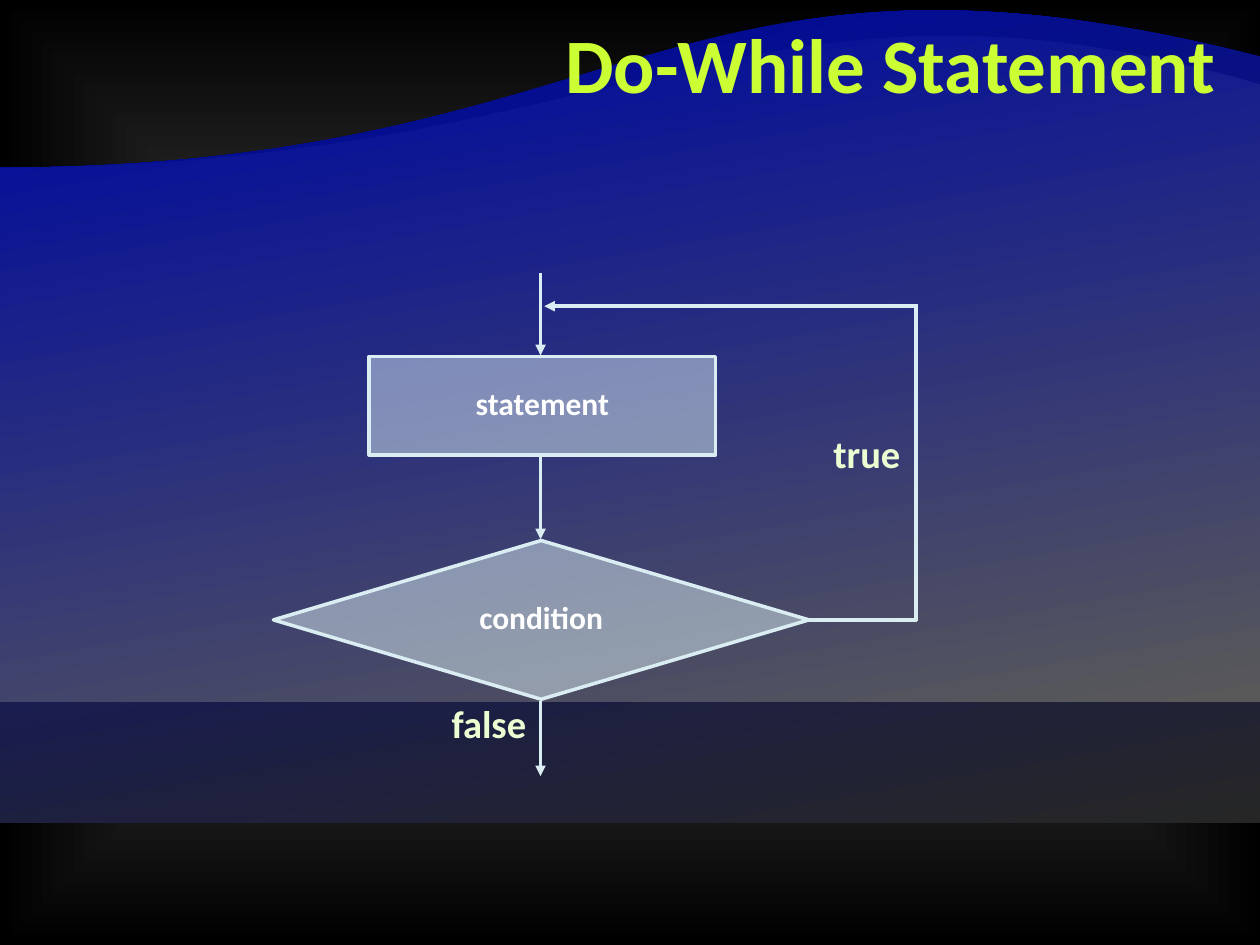
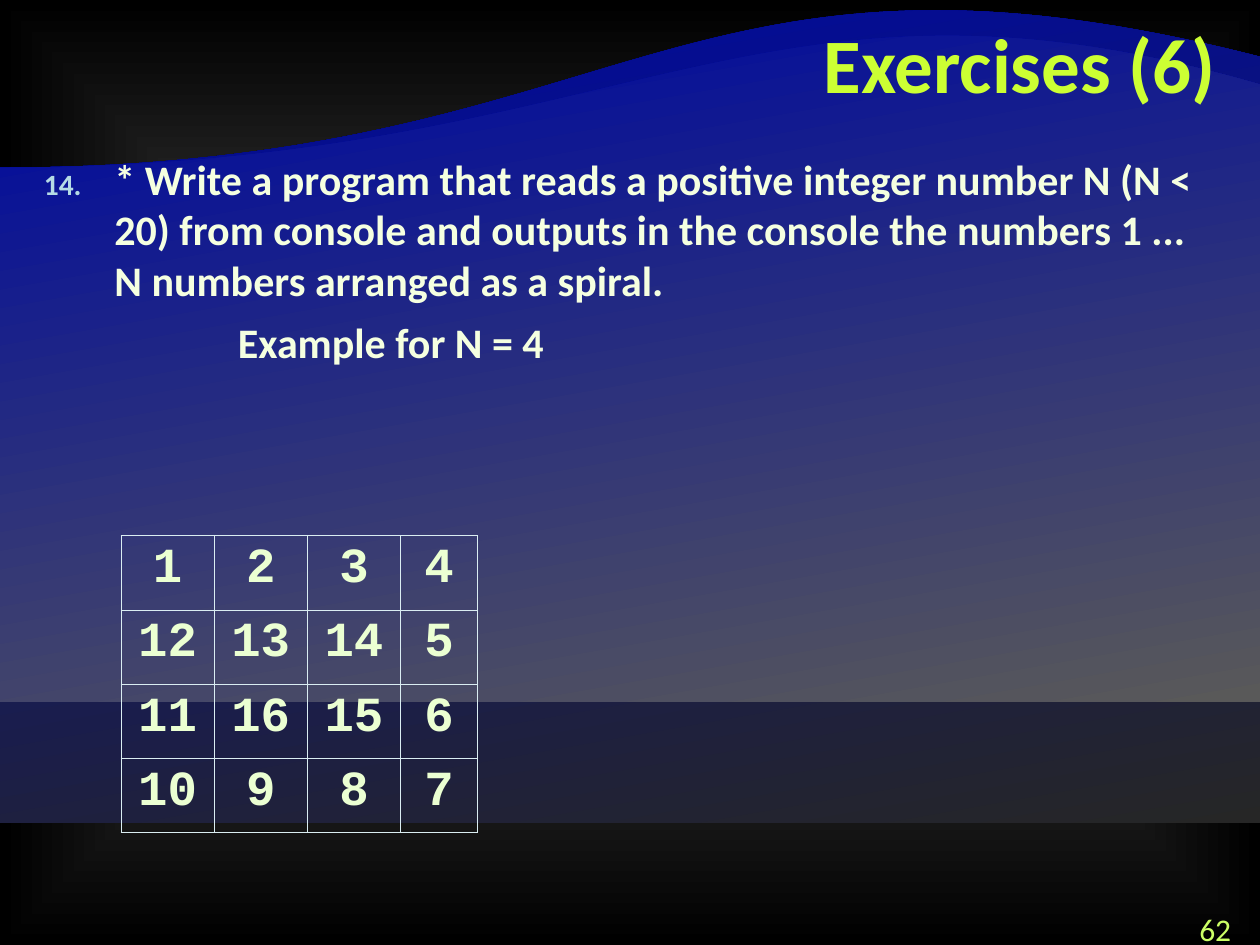
from dataclasses import dataclass

from lxml import etree
from pptx import Presentation
from pptx.dml.color import RGBColor
from pptx.enum.shapes import MSO_CONNECTOR, MSO_SHAPE
from pptx.enum.text import MSO_ANCHOR, PP_ALIGN
from pptx.oxml.ns import qn
from pptx.util import Inches, Pt

STRAIGHT = MSO_CONNECTOR.STRAIGHT
RECT, DECISION = MSO_SHAPE.RECTANGLE, MSO_SHAPE.FLOWCHART_DECISION
LEFT, CENTER, RIGHT = PP_ALIGN.LEFT, PP_ALIGN.CENTER, PP_ALIGN.RIGHT
TOP, MIDDLE = MSO_ANCHOR.TOP, MSO_ANCHOR.MIDDLE


@dataclass(frozen=True)
class Theme:
    font: str = "Calibri"
    code_font: str = "Courier New"
    glow: str = "595959"
    black: str = "000000"
    blue: str = "000A9E"
    shade: str = "262626"
    title: str = "CCFF33"
    number: str = "CCFF66"
    body: str = "F5FFE0"
    label: str = "EBFFD2"
    bullet: str = "B5DBE5"
    ice: str = "DAEDF2"
    white: str = "FFFFFF"
    title_size: int = 44
    cell_size: int = 28
    body_size: int = 24
    label_size: int = 22
    small_size: int = 18
    flow_line: float = 2
    outer_border: float = 0.5
    inner_border: float = 0.23


T = Theme()


def rgb(code):
    return RGBColor.from_string(code)


def sub(parent, tag, **attrs):
    return etree.SubElement(parent, qn(tag), {k: str(v) for k, v in attrs.items()})


def set_gradient(fill, first, last):
    fill.gradient()
    for stop, code in zip(fill.gradient_stops, (first, last)):
        stop.color.rgb = rgb(code)


def style(p, size, color, bold=True, font=T.font, align=LEFT, spacing=None):
    p.alignment = align
    if spacing:
        p.line_spacing = spacing
    for r in p.runs:
        r.font.name, r.font.size, r.font.bold = font, Pt(size), bold
        r.font.color.rgb = rgb(color)


def add_text(s, box, text, size, color, **options):
    tf = s.shapes.add_textbox(*map(Inches, box)).text_frame
    tf.word_wrap = True
    tf.vertical_anchor = TOP
    tf.text = text
    style(tf.paragraphs[0], size, color, **options)
    return tf


# Shared background, waves and title
def set_background(master):
    set_gradient(master.background.fill, T.glow, T.black)
    grad = master.element.find(".//" + qn("a:gradFill"))
    grad.remove(grad.find(qn("a:lin")))
    center = sub(grad, "a:path", path="rect")
    sub(center, "a:fillToRect", l=50000, t=50000, r=50000, b=50000)


def add_wave(s, right_top, bottom, control, end_color):
    """Band whose top edge swings from the left side up to right_top."""
    width, left_top = 10, 1.33
    corners = [(0, bottom), (0, left_top), (width, right_top)]
    builder = s.shapes.build_freeform(Inches(width), Inches(bottom))
    builder.add_line_segments([(Inches(x), Inches(y)) for x, y in corners])
    wave = builder.convert_to_shape()
    wave.shadow.inherit = False
    set_gradient(wave.fill, T.blue, end_color)
    wave.fill.gradient_angle = 280
    wave.line.fill.background()

    # Bend the top edge
    edge = wave._element.findall(".//" + qn("a:lnTo"))[2]
    curve = etree.Element(qn("a:cubicBezTo"))
    for x, y in ((5, left_top), control, (width, right_top)):
        sub(curve, "a:pt", x=Inches(x), y=Inches(y - right_top))
    edge.getparent().replace(edge, curve)


def add_base_slide(prs, title):
    s = prs.slides.add_slide(prs.slide_layouts[6])
    add_wave(s, 0.45, 6.53, (5.34, -0.74), T.shade)
    add_wave(s, 0.67, 5.57, (5.98, -0.49), T.glow)
    add_text(s, (2, 0.08, 7.75, 1), title, T.title_size, T.title, align=RIGHT)
    return s


# Flowchart
def add_node(s, kind, box, text):
    sp = s.shapes.add_shape(kind, *map(Inches, box))
    sp.shadow.inherit = False
    sp.fill.solid()
    sp.fill.fore_color.rgb = rgb(T.ice)
    color = sp._element.spPr.find(qn("a:solidFill")).find(qn("a:srgbClr"))
    sub(color, "a:alpha", val=50000)
    sp.line.color.rgb = rgb(T.ice)
    sp.line.width = Pt(T.flow_line)
    tf = sp.text_frame
    tf.vertical_anchor = MIDDLE
    tf.text = text
    style(tf.paragraphs[0], T.small_size, T.white, align=CENTER, spacing=0.85)


def add_flow(s, start, end, arrow=True):
    line = s.shapes.add_connector(STRAIGHT, *map(Inches, start + end))
    line.line.color.rgb = rgb(T.ice)
    line.line.width = Pt(T.flow_line)
    if arrow:
        sub(line.line._get_or_add_ln(), "a:tailEnd", type="triangle")
    sub(line._element.spPr, "a:effectLst")


def add_flowchart(s, left, top):
    def at(x, y, *size):
        return (left + x, top + y, *size)

    axis, loop = 2.12, 5.1
    labels = [("true", at(4.2, 1.25, 1.02, 0.41)),
              ("false", at(1.24, 3.39, 0.94, 0.41))]
    for text, box in labels:
        add_text(s, box, text, T.label_size, T.label, align=CENTER, spacing=0.85)
    add_node(s, RECT, at(0.76, 0.66, 2.75, 0.78), "statement")
    add_node(s, DECISION, at(0, 2.12, 4.25, 1.26), "condition")

    # Downward flow
    for y1, y2 in ((0, 0.65), (1.46, 2.11), (3.39, 3.99)):
        add_flow(s, at(axis, y1), at(axis, y2))
    # Way back to the statement
    add_flow(s, at(4.24, 2.75), at(loop + 0.01, 2.75), arrow=False)
    add_flow(s, at(loop, 2.76), at(loop, 0.24), arrow=False)
    add_flow(s, at(loop + 0.01, 0.26), at(axis + 0.03, 0.26))


# Exercise
def add_exercise(s, box, number, task, example):
    tf = add_text(s, box, task, T.body_size, T.body)
    pPr = tf.paragraphs[0]._p.get_or_add_pPr()
    pPr.set("marL", str(Inches(0.56)))
    pPr.set("indent", str(-Inches(0.56)))
    sub(sub(pPr, "a:buClr"), "a:srgbClr", val=T.bullet)
    sub(pPr, "a:buSzPct", val=70000)
    sub(pPr, "a:buAutoNum", type="arabicPeriod", startAt=number)

    p = tf.add_paragraph()
    p.text = example
    p.space_before = Pt(6.4)
    p._p.get_or_add_pPr().set("marL", str(Inches(1.54)))
    style(p, T.body_size, T.body)


def set_borders(cell, outer_sides):
    tcPr = cell._tc.get_or_add_tcPr()
    for i, side in enumerate("LRTB"):
        width = T.outer_border if side in outer_sides else T.inner_border
        ln = etree.Element(qn(f"a:ln{side}"), w=str(Pt(width)))
        sub(sub(ln, "a:solidFill"), "a:srgbClr", val=T.ice)
        tcPr.insert(i, ln)


def add_number_table(s, left, top, rows):
    widths, height = (0.74, 0.74, 0.74, 0.61), 0.59
    last = len(rows) - 1
    frame = s.shapes.add_table(len(rows), len(widths), Inches(left), Inches(top),
                               Inches(sum(widths)), Inches(height * len(rows)))
    table = frame.table
    table.first_row = table.horz_banding = False
    for column, width in zip(table.columns, widths):
        column.width = Inches(width)
    for i, row in enumerate(rows):
        table.rows[i].height = Inches(height)
        for j, value in enumerate(row):
            cell = table.cell(i, j)
            cell.fill.background()
            cell.text_frame.text = str(value)
            style(cell.text_frame.paragraphs[0], T.cell_size, T.label,
                  font=T.code_font, align=CENTER, spacing=0.98)
            edges = {"T": i == 0, "B": i == last,
                     "L": j == 0, "R": j == len(widths) - 1}
            set_borders(cell, [side for side, outer in edges.items() if outer])


# Slides
def build_do_while(prs):
    s = add_base_slide(prs, "Do-While Statement")
    add_flowchart(s, 2.17, 2.17)


def build_exercises(prs):
    s = add_base_slide(prs, "Exercises (6)")
    add_exercise(
        s, (0.25, 1.17, 9.5, 6.17), 14,
        "* Write a program that reads a positive integer number N (N < 20) "
        "from console and outputs in the console the numbers 1 ... N numbers "
        "arranged as a spiral.",
        "Example for N = 4")
    add_text(s, (9.42, 7.17, 0.5, 0.25), "62", T.small_size, T.number, bold=False)
    spiral = [(1, 2, 3, 4), (12, 13, 14, 5), (11, 16, 15, 6), (10, 9, 8, 7)]
    add_number_table(s, 0.96, 4.25, spiral)


def main():
    prs = Presentation()
    prs.slide_width, prs.slide_height = Inches(10), Inches(7.5)
    set_background(prs.slide_master)
    build_do_while(prs)
    build_exercises(prs)
    prs.save("out.pptx")


if __name__ == "__main__":
    main()
